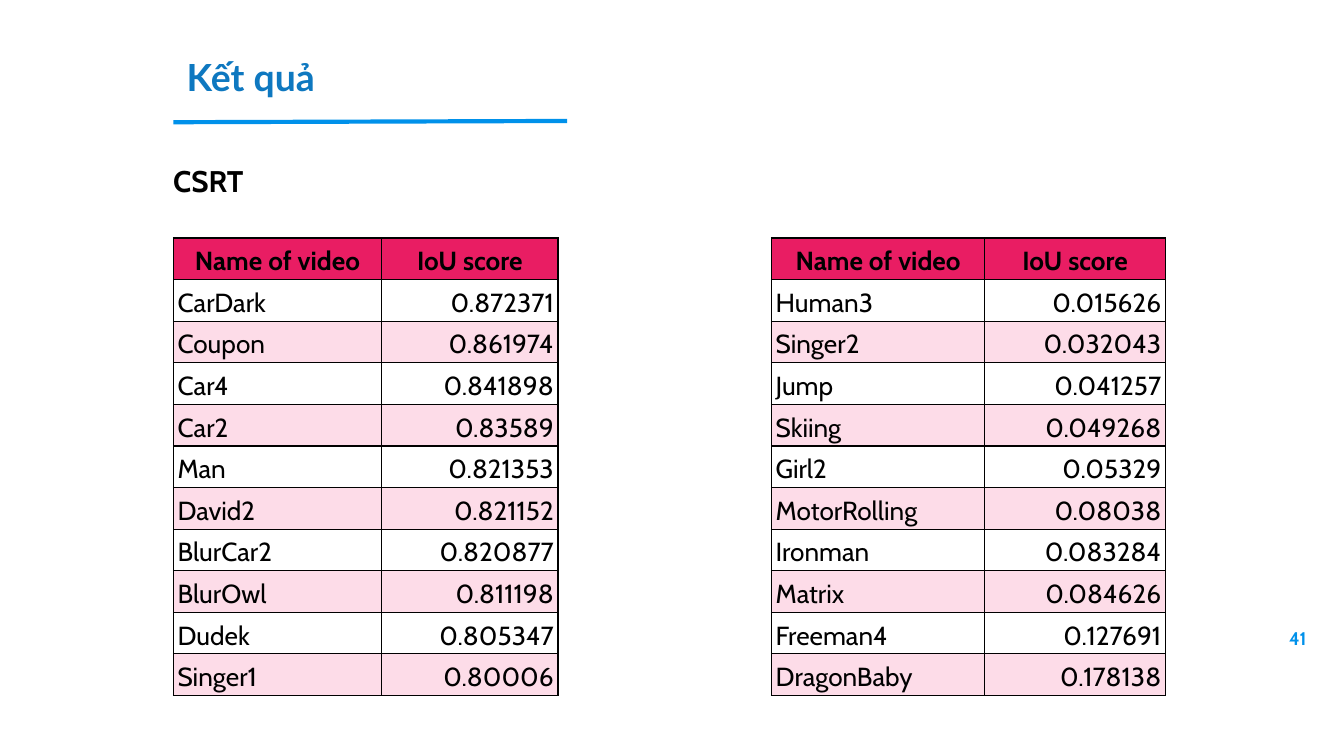
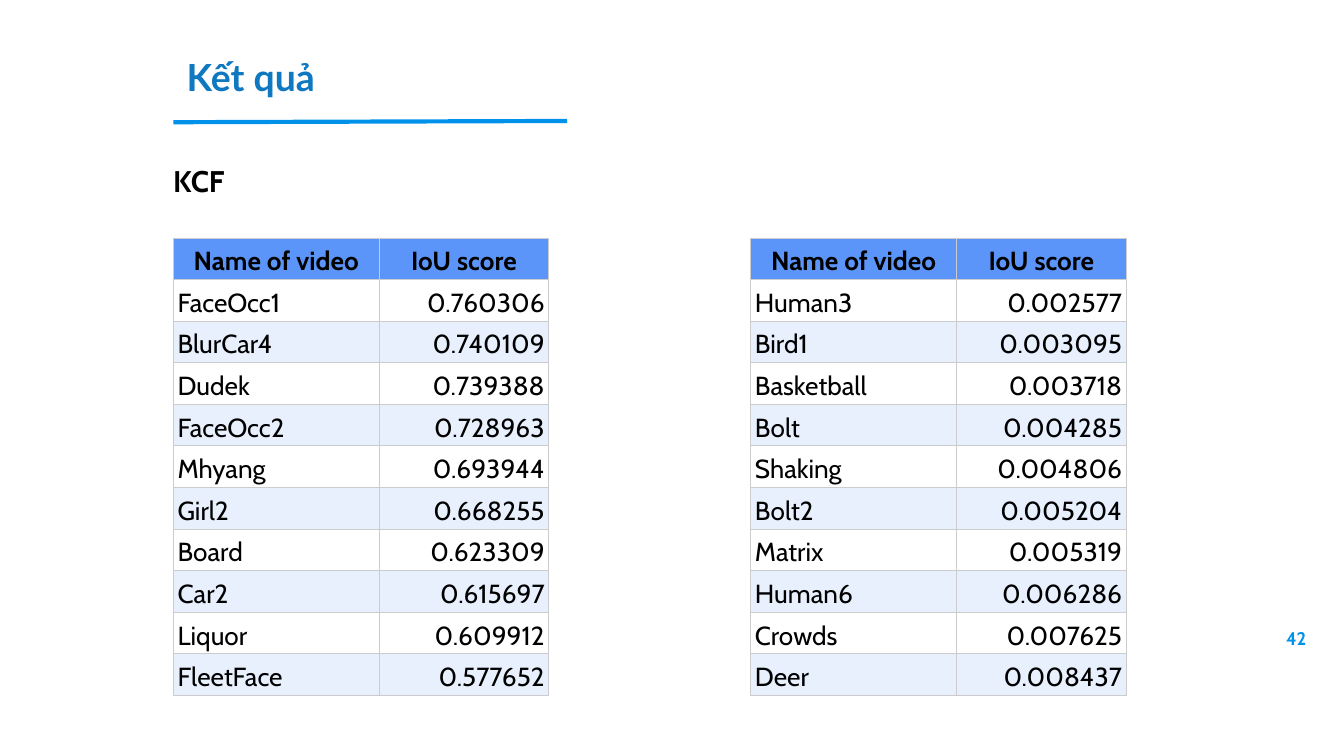
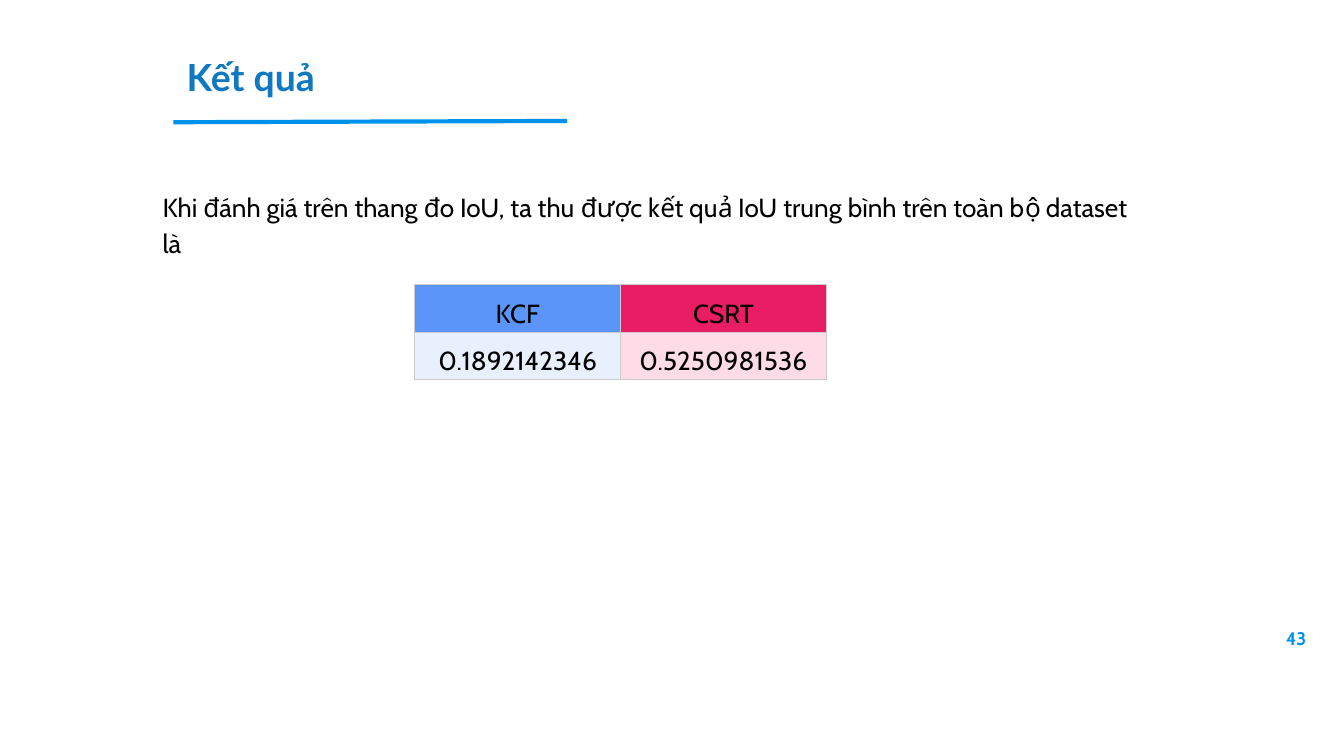
from collections import namedtuple

from lxml.etree import SubElement
from pptx import Presentation
from pptx.dml.color import RGBColor
from pptx.enum.shapes import MSO_CONNECTOR
from pptx.enum.text import MSO_ANCHOR as Anchor, MSO_AUTO_SIZE as AutoSize, PP_ALIGN as Align
from pptx.oxml.ns import qn
from pptx.util import Pt

Box = namedtuple("Box", "left top width height")
Palette = namedtuple("Palette", "header tint")
Border = namedtuple("Border", "color weight")

BLACK, WHITE, ACCENT = "000000", "FFFFFF", "0091EA"
CSRT = Palette("E91D63", "FDDCE8")
KCF = Palette("5B95F9", "E8F0FE")
DARK_BORDER, LIGHT_BORDER = Border(BLACK, 0.75), Border("CCCCCC", 0.6)

TITLE = dict(name="Lato", size=20, bold=True, color="0E78C0")
SUBTITLE = dict(name="Cabin", size=16, bold=True, color=BLACK)
BODY = dict(name="Cabin", size=14, bold=False, color=BLACK)
HEADER = dict(BODY, bold=True)
NUMBER = dict(name="Cabin", size=9.8, bold=True, color=ACCENT)

HEADER_BOX = Box(92.88, 21.6, 478, 38.9)
SUBTITLE_BOX = Box(85.68, 80, 502, 33.8)
NUMBER_BOX = Box(661.7, 331.2, 43.2, 23)
SUMMARY_BOX = Box(80, 92.9, 541.4, 31.7)
SCORE_TOP, SCORE_ROW = 127.5, 16.56
AVERAGE_ROW = 25.5

SCORE_HEADINGS = ("Name of video", "IoU score")
CSRT_BEST = [
    ("CarDark", "0.872371"), ("Coupon", "0.861974"), ("Car4", "0.841898"),
    ("Car2", "0.83589"), ("Man", "0.821353"), ("David2", "0.821152"),
    ("BlurCar2", "0.820877"), ("BlurOwl", "0.811198"), ("Dudek", "0.805347"),
    ("Singer1", "0.80006"),
]
CSRT_WORST = [
    ("Human3", "0.015626"), ("Singer2", "0.032043"), ("Jump", "0.041257"),
    ("Skiing", "0.049268"), ("Girl2", "0.05329"), ("MotorRolling", "0.08038"),
    ("Ironman", "0.083284"), ("Matrix", "0.084626"), ("Freeman4", "0.127691"),
    ("DragonBaby", "0.178138"),
]
KCF_BEST = [
    ("FaceOcc1", "0.760306"), ("BlurCar4", "0.740109"), ("Dudek", "0.739388"),
    ("FaceOcc2", "0.728963"), ("Mhyang", "0.693944"), ("Girl2", "0.668255"),
    ("Board", "0.623309"), ("Car2", "0.615697"), ("Liquor", "0.609912"),
    ("FleetFace", "0.577652"),
]
KCF_WORST = [
    ("Human3", "0.002577"), ("Bird1", "0.003095"), ("Basketball", "0.003718"),
    ("Bolt", "0.004285"), ("Shaking", "0.004806"), ("Bolt2", "0.005204"),
    ("Matrix", "0.005319"), ("Human6", "0.006286"), ("Crowds", "0.007625"),
    ("Deer", "0.008437"),
]


def rgb(code):
    """Turn a hex string into a colour."""
    return RGBColor.from_string(code)


def write(paragraph, text, style, align=Align.LEFT, spacing=None):
    """Fill a paragraph with one run in the given style."""
    run = paragraph.add_run()
    run.text = text
    formats = dict(style, size=Pt(style["size"]))
    run.font.color.rgb = rgb(formats.pop("color"))
    for attribute, value in formats.items():
        setattr(run.font, attribute, value)
    paragraph.alignment = align
    paragraph.line_spacing = spacing


def add_text(slide, box, text, style, inset=7.2, grow=True, **layout):
    """Place a wrapped text box with equal insets."""
    frame = slide.shapes.add_textbox(*map(Pt, box)).text_frame
    formats = dict.fromkeys(
        ("margin_left", "margin_top", "margin_right", "margin_bottom"), Pt(inset))
    formats["word_wrap"] = True
    formats["auto_size"] = AutoSize.SHAPE_TO_FIT_TEXT if grow else AutoSize.NONE
    for attribute, value in formats.items():
        setattr(frame, attribute, value)
    write(frame.paragraphs[0], text, style, **layout)


def add_header(slide, box):
    """Place the title and the line below it."""
    underline = slide.shapes.add_connector(
        MSO_CONNECTOR.STRAIGHT, Pt(box.left), Pt(box.top + 43.9),
        Pt(box.left + 211), Pt(box.top + 43.2))
    underline.line.color.rgb = rgb(ACCENT)
    underline.line.width = Pt(2.25)
    SubElement(underline._element.spPr, qn("a:effectLst"))
    add_text(slide, box, "Kết quả", TITLE)


def add_result_slide(deck, number):
    """Add a slide with the shared header and page number."""
    slide = deck.slides.add_slide(deck.slide_layouts[6])
    add_text(slide, NUMBER_BOX, str(number), NUMBER, inset=5, grow=False, align=Align.RIGHT)
    add_header(slide, HEADER_BOX)
    return slide


def outline(cell, border):
    """Draw all four borders of a cell."""
    for side in ("a:lnL", "a:lnR", "a:lnT", "a:lnB"):
        edge = SubElement(cell._tc.get_or_add_tcPr(), qn(side), w=str(Pt(border.weight)))
        SubElement(SubElement(edge, qn("a:solidFill")), qn("a:srgbClr"), val=border.color)


def format_cell(cell, text, style, align, fill, border):
    """Write and colour one table cell."""
    formats = dict(margin_left=Pt(2.25), margin_right=Pt(2.25), margin_top=Pt(1.5),
                   margin_bottom=Pt(1.5), vertical_anchor=Anchor.BOTTOM)
    for attribute, value in formats.items():
        setattr(cell, attribute, value)
    outline(cell, border)
    cell.fill.solid()
    cell.fill.fore_color.rgb = rgb(fill)
    write(cell.text_frame.paragraphs[0], text, style, align, 1.15)


def add_grid(slide, left, top, widths, row_height, row_count):
    """Add an unbanded table with the given column widths."""
    box = Box(left, top, sum(widths), row_height * row_count)
    grid = slide.shapes.add_table(row_count, len(widths), *map(Pt, box)).table
    grid.horz_banding = False
    for column, width in zip(grid.columns, widths):
        column.width = Pt(width)
    return grid


def add_scores(slide, left, widths, scores, palette, border):
    """Add a banded table of videos and their scores."""
    rows = [SCORE_HEADINGS, *scores]
    grid = add_grid(slide, left, SCORE_TOP, widths, SCORE_ROW, len(rows))
    for r, row in enumerate(rows):
        if r == 0:
            style, aligns, fill = HEADER, (Align.CENTER, Align.CENTER), palette.header
        else:
            style, aligns = BODY, (Align.LEFT, Align.RIGHT)
            fill = WHITE if r % 2 else palette.tint
        for c, (text, align) in enumerate(zip(row, aligns)):
            format_cell(grid.cell(r, c), text, style, align, fill, border)


def add_score_slide(deck, number, tracker, palette, border, tables):
    """Add a slide with the best and worst scores of a tracker."""
    slide = add_result_slide(deck, number)
    add_text(slide, SUBTITLE_BOX, tracker, SUBTITLE)
    for left, widths, scores in tables:
        add_scores(slide, left, widths, scores, palette, border)


def add_average_slide(deck, number):
    """Add the slide comparing the average scores."""
    slide = add_result_slide(deck, number)
    summary = ("Khi đánh giá trên thang đo IoU, ta thu được kết quả IoU "
               "trung bình trên toàn bộ dataset là")
    add_text(slide, SUMMARY_BOX, summary, BODY, spacing=1.15)
    averages = [("KCF", "0.1892142346", KCF), ("CSRT", "0.5250981536", CSRT)]
    grid = add_grid(slide, 222.3, 152.6, (110.2, 110.2), AVERAGE_ROW, 2)
    for c, (tracker, average, palette) in enumerate(averages):
        for r, (text, fill) in enumerate(zip((tracker, average), palette)):
            format_cell(grid.cell(r, c), text, BODY, Align.CENTER, fill, LIGHT_BORDER)


def main():
    """Build and save the result slides."""
    deck = Presentation()
    deck.slide_width, deck.slide_height = Pt(720), Pt(405)
    kcf_widths = (110.2, 91)
    add_score_slide(deck, 41, "CSRT", CSRT, DARK_BORDER,
                    [(92.88, (111.6, 94.5), CSRT_BEST), (413.3, (114.3, 96.8), CSRT_WORST)])
    add_score_slide(deck, 42, "KCF", KCF, LIGHT_BORDER,
                    [(92.88, kcf_widths, KCF_BEST), (402.2, kcf_widths, KCF_WORST)])
    add_average_slide(deck, 43)
    deck.save("out.pptx")


if __name__ == "__main__":
    main()
